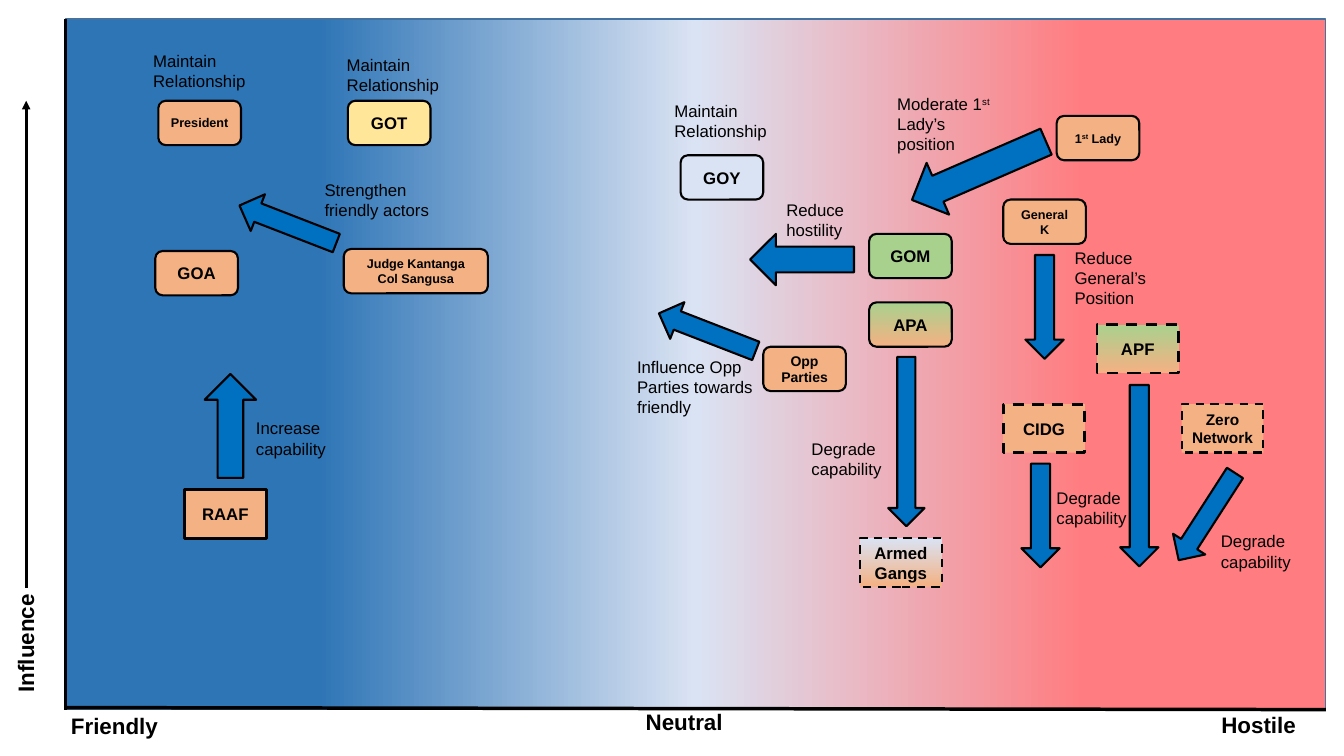
import copy
import pptx
import pptx.dml.color
import pptx.enum.dml
import pptx.enum.shapes
import pptx.enum.text
import pptx.oxml
import pptx.oxml.ns
import pptx.util

Inches, Pt = pptx.util.Inches, pptx.util.Pt
SHAPE = pptx.enum.shapes.MSO_SHAPE
ALIGN = pptx.enum.text.PP_ALIGN
ORANGE, GREEN, PALE = "F4B183", "A9D18E", "DAE3F3"


def rgb(value):
    return pptx.dml.color.RGBColor.from_string(value)


def apply(target, values):
    for name, value in values.items():
        setattr(target, name, value)


class ActorMap:
    font = "Arial"
    ink = "000000"
    arrow_fill = "0070C0"

    def __init__(self, slide):
        self.s = slide

    def text(self, tf, text, size, bold=False, align=ALIGN.LEFT):
        """Lines are split at newlines; ^ switches superscript on and off."""
        tf.word_wrap = True
        for i, line in enumerate(text.split("\n")):
            p = tf.paragraphs[0] if i == 0 else tf.add_paragraph()
            p.alignment = align
            for j, part in enumerate(line.split("^")):
                r = p.add_run()
                r.text = part
                apply(r.font, {"name": self.font, "size": Pt(size), "bold": bold})
                r.font.color.rgb = rgb(self.ink)
                if j % 2:
                    r.font._element.set("baseline", "30000")

    def gradient(self, sp, stops, angle):
        sp.fill.gradient()
        sp.fill.gradient_angle = angle
        gs_list = sp._element.xpath(".//a:gsLst")[0]
        while len(gs_list) < len(stops):
            gs_list.append(copy.deepcopy(gs_list[0]))
        for stop, (position, color) in zip(sp.fill.gradient_stops, stops):
            stop.position = position
            stop.color.rgb = rgb(color)

    def shape(self, kind, x, y, w, h, fill=None, line=None, width=1.5, rotation=0):
        sp = self.s.shapes.add_shape(kind, Inches(x), Inches(y), Inches(w), Inches(h))
        sp.shadow.inherit = False
        sp.rotation = rotation
        if fill:
            sp.fill.solid()
            sp.fill.fore_color.rgb = rgb(fill)
        else:
            sp.fill.background()
        if line:
            sp.line.color.rgb = rgb(line)
            sp.line.width = Pt(width)
        else:
            sp.line.fill.background()
        return sp

    def actor(self, text, x, y, size=12, fill=ORANGE, top=None, w=0.82,
              square=False, width=1.5, dashed=False):
        kind, w, h = (SHAPE.RECTANGLE, 0.81, 0.48) if square else (SHAPE.ROUNDED_RECTANGLE, w, 0.44)
        sp = self.shape(kind, x, y, w, h, fill, self.ink, width)
        if top:
            self.gradient(sp, [(0, top), (1, fill)], 270)
        if dashed:
            sp.line.dash_style = pptx.enum.dml.MSO_LINE.DASH
        sp.text_frame.vertical_anchor = pptx.enum.text.MSO_ANCHOR.MIDDLE
        self.text(sp.text_frame, text, size, True, ALIGN.CENTER)

    def arrow(self, x, y, w, h, rotation=0):
        self.shape(SHAPE.DOWN_ARROW, x, y, w, h, self.arrow_fill, self.ink, rotation=rotation)

    def line(self, x1, y1, x2, y2, width, head=False):
        cn = self.s.shapes.add_connector(pptx.enum.shapes.MSO_CONNECTOR.STRAIGHT,
                                         Inches(x1), Inches(y1), Inches(x2), Inches(y2))
        cn.line.color.rgb = rgb(self.ink)
        cn.line.width = Pt(width)
        if head:
            tail = pptx.oxml.parse_xml("<a:tailEnd %s type='triangle'/>" % pptx.oxml.ns.nsdecls("a"))
            cn.line._get_or_add_ln().append(tail)
        effects = pptx.oxml.parse_xml("<a:effectLst %s/>" % pptx.oxml.ns.nsdecls("a"))
        cn._element.spPr.append(effects)

    def axis_title(self, text, x, y, w=1.16, h=0.33, rotation=0):
        sp = self.shape(SHAPE.ROUNDED_RECTANGLE, x, y, w, h, rotation=rotation)
        sp.text_frame.vertical_anchor = pptx.enum.text.MSO_ANCHOR.MIDDLE
        self.text(sp.text_frame, text, 16, True)

    def label(self, text, x, y, w, h=0.5):
        tb = self.s.shapes.add_textbox(Inches(x), Inches(y), Inches(w), Inches(h))
        self.text(tb.text_frame, text, 12)
        tb.text_frame.auto_size = pptx.enum.text.MSO_AUTO_SIZE.SHAPE_TO_FIT_TEXT


def main():
    prs = pptx.Presentation()
    apply(prs, {"slide_width": Inches(13.33), "slide_height": Inches(7.5)})
    m = ActorMap(prs.slides.add_slide(prs.slide_layouts[6]))

    # Friendly-to-hostile background
    field = m.shape(SHAPE.RECTANGLE, 0.65, 0.19, 12.5, 6.85, PALE, "43739E", 1)
    m.gradient(field, [(0.2, "2E75B6"), (0.5, PALE), (0.81, "FF7C80")], 0)

    # Actors
    dashed = {"square": True, "dashed": True}
    for text, x, y, style in [
        ("President", 1.57, 1, {"size": 9}),
        ("General K", 9.95, 1.98, {"size": 9}),
        ("1^st^ Lady", 10.48, 1.15, {"size": 9}),
        ("Judge Kantanga\nCol Sangusa", 3.41, 2.47, {"size": 9, "w": 1.43}),
        ("GOT", 3.45, 1, {"fill": "FFE699"}),
        ("GOM", 8.62, 2.32, {"fill": GREEN}),
        ("GOY", 6.75, 1.54, {"fill": PALE}),
        ("Opp Parties", 7.57, 3.44, {"size": 10}),
        ("Armed Gangs", 8.53, 5.34, {"top": PALE, **dashed}),
        ("Zero Network", 11.72, 4.01, {"size": 11, **dashed}),
        ("RAAF", 1.83, 4.86, {"square": True, "width": 2}),
        ("APA", 8.62, 3, {"top": GREEN}),
        ("APF", 10.88, 3.22, {"top": GREEN, "width": 2, **dashed}),
        ("CIDG", 9.95, 4.01, {"width": 2, **dashed}),
        ("GOA", 1.54, 2.49, {}),
    ]:
        m.actor(text, x, y, **style)

    # Intended movement of each actor
    for arrow in [
        (6.82, 2.78, 0.39, 1.03, 111.2),
        (2.03, 3.71, 0.51, 1.03, 180),
        (8.81, 3.54, 0.36, 1.68),
        (11.11, 3.82, 0.38, 1.8),
        (11.78, 4.61, 0.38, 1.03, 32.8),
        (9.43, 0.97, 0.56, 1.45, 66.5),
        (10.17, 2.53, 0.38, 1.03),
        (10.13, 4.6, 0.38, 1.03),
        (2.66, 1.71, 0.39, 1.03, 111.2),
        (7.7, 2.06, 0.51, 1.03, 90),
    ]:
        m.arrow(*arrow)

    # Axes
    m.line(0.65, 7.04, 0.65, 0.19, 2.5)
    m.line(0.65, 7.02, 13.15, 7.04, 2.5)
    m.axis_title("Influence", -1.3, 5.19, 3.1, 0.5, 270)
    m.line(0.26, 5.83, 0.26, 1, 2, head=True)
    m.axis_title("Friendly", 0.59, 7.03)
    m.axis_title("Hostile", 12, 7.02)
    m.axis_title("Neutral", 6.29, 6.99)

    # Action labels
    for label in [
        ("Increase capability", 2.44, 4.1, 1.28),
        ("Strengthen friendly actors", 3.12, 1.73, 1.28),
        ("Moderate 1^st^ Lady’s position", 8.8, 0.88, 1.28, 0.71),
        ("Reduce General’s Position", 10.56, 2.41, 1.28, 0.71),
        ("Influence Opp Parties towards friendly", 6.22, 3.49, 1.63, 0.71),
        ("Reduce hostility", 7.7, 1.93, 1.02),
    ]:
        m.label(*label)
    for x, y in [(7.95, 4.3), (10.38, 4.79), (12.01, 5.22)]:
        m.label("Degrade capability", x, y, 1.02)
    for x, y in [(6.59, 0.95), (3.34, 0.49), (1.42, 0.45)]:
        m.label("Maintain Relationship", x, y, 1.15)

    prs.save("out.pptx")


if __name__ == "__main__":
    main()
